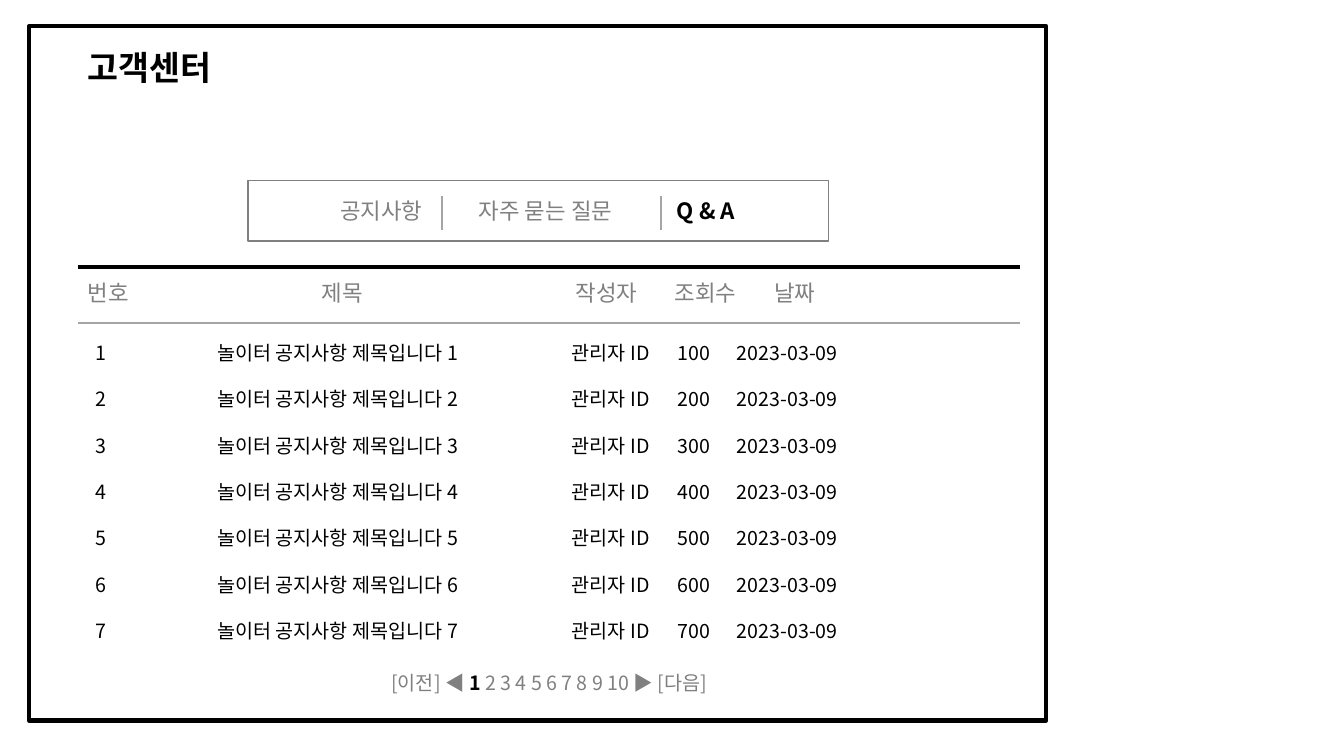
from lxml import etree
from pptx import Presentation
from pptx import util as u
from pptx.dml.color import RGBColor
from pptx.enum import shapes, text
from pptx.oxml.ns import qn

COLORS = {"black": "000000", "gray": "808080", "rule": "A5A5A5", "white": "FFFFFF"}
FONT = "Noto Sans CJK KR"
LEFT, WIDTH = 1.96, 23.75

deck = Presentation()
deck.slide_width, deck.slide_height = u.Cm(33.87), u.Cm(19.05)
page = deck.slides.add_slide(deck.slide_layouts[6])


def write(shape, pieces, size, color, tabs=(), align=text.PP_ALIGN.LEFT, bold=False):
    para = shape.text_frame.paragraphs[0]
    para.alignment = align
    para.font.name, para.font.size, para.font.bold = FONT, u.Pt(size), bold
    para.font.color.rgb = RGBColor.from_string(COLORS[color])
    defaults = para._p.pPr.find(qn("a:defRPr"))
    etree.SubElement(defaults, qn("a:ea"), typeface=FONT)
    if tabs:
        stops = etree.Element(qn("a:tabLst"))
        for stop in tabs:
            etree.SubElement(stops, qn("a:tab"), pos=str(u.Cm(stop)), algn="l")
        defaults.addprevious(stops)
    for words, strong in pieces:
        span = para.add_run()
        span.text = words
        if strong:
            span.font.bold = True
            span.font.color.rgb = RGBColor.from_string(COLORS["black"])


def text_box(left, top, width, height, wrap=True):
    box = page.shapes.add_textbox(u.Cm(left), u.Cm(top), u.Cm(width), u.Cm(height))
    box.text_frame.word_wrap = wrap
    box.text_frame.auto_size = text.MSO_AUTO_SIZE.SHAPE_TO_FIT_TEXT
    return box


panels = []
for left, top, width, height, fill, line, weight in [
    (0.74, 0.66, 25.63, 17.5, None, "black", 3),
    (6.25, 4.55, 14.63, 1.52, "white", "gray", 1),
]:
    panel = page.shapes.add_shape(
        shapes.MSO_SHAPE.RECTANGLE, u.Cm(left), u.Cm(top), u.Cm(width), u.Cm(height)
    )
    panel.shadow.inherit = False
    if fill:
        panel.fill.solid()
        panel.fill.fore_color.rgb = RGBColor.from_string(COLORS[fill])
    else:
        panel.fill.background()
    panel.line.color.rgb = RGBColor.from_string(COLORS[line])
    panel.line.width = u.Pt(weight)
    panels.append(panel)

frame, menu = panels
menu.text_frame.vertical_anchor = text.MSO_ANCHOR.MIDDLE
write(menu, [("\t공지사항\t자주 묻는 질문\t", False), ("Q & A", True)], 16, "gray",
      tabs=(2.07, 5.57, 10.56))

for x1, y1, x2, y2, color, weight in [
    (LEFT, 6.73, LEFT + WIDTH, 6.73, "black", 3),
    (LEFT, 8.15, LEFT + WIDTH, 8.15, "rule", 1.5),
    (11.13, 4.95, 11.13, 5.79, "rule", 1.5),
    (16.66, 4.95, 16.66, 5.79, "rule", 1.5),
]:
    rule = page.shapes.add_connector(
        shapes.MSO_CONNECTOR.STRAIGHT, u.Cm(x1), u.Cm(y1), u.Cm(x2), u.Cm(y2)
    )
    rule.line.color.rgb = RGBColor.from_string(COLORS[color])
    rule.line.width = u.Pt(weight)
    etree.SubElement(rule._element.spPr, qn("a:effectLst"))

title = text_box(LEFT, 1.07, 3.94, 1.27, wrap=False)
write(title, [("고객센터", False)], 24, "black", bold=True)

header = text_box(LEFT, 6.91, WIDTH, 0.94)
write(header, [("번호\t제목\t작성자\t조회수\t날짜", False)], 16, "gray",
      tabs=(5.9, 12.3, 14.8, 17.3))

for number in range(1, 8):
    row = text_box(LEFT, 8.46 + 1.17 * (number - 1), WIDTH, 0.86)
    cells = ["", number, f"놀이터 공지사항 제목입니다 {number}", "관리자 ID",
             number * 100, "2023-03-09"]
    write(row, [("\t".join(map(str, cells)), False)], 14, "black",
          tabs=(0.2, 3.26, 12.2, 14.86, 16.36))

pager = text_box(4.98, 16.79, 17.73, 0.86)
write(pager, [("[이전] ◀ ", False), ("1", True), (" 2 3 4 5 6 7 8 9 10 ▶ [다음]", False)],
      14, "gray", align=text.PP_ALIGN.CENTER)

deck.save("out.pptx")
